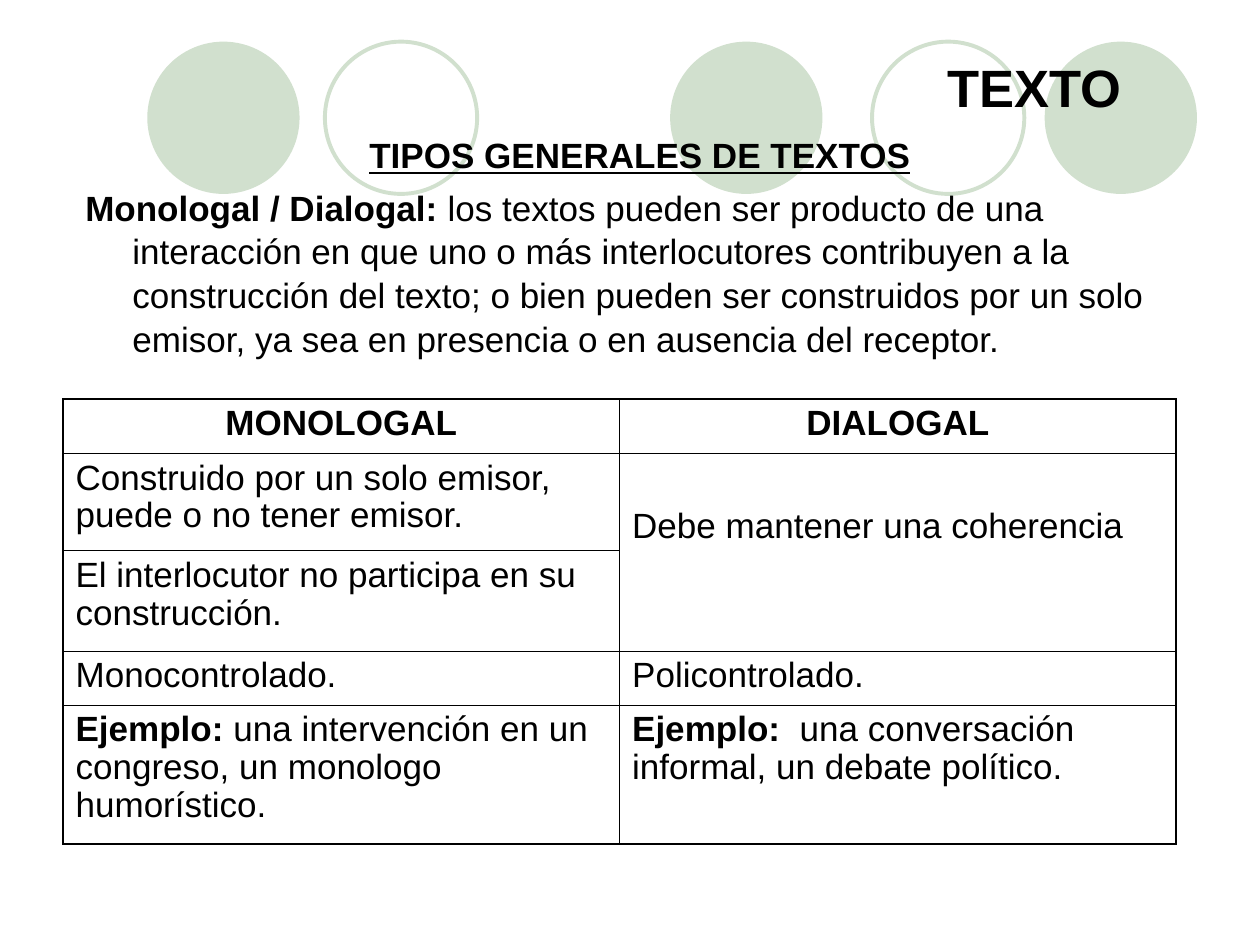
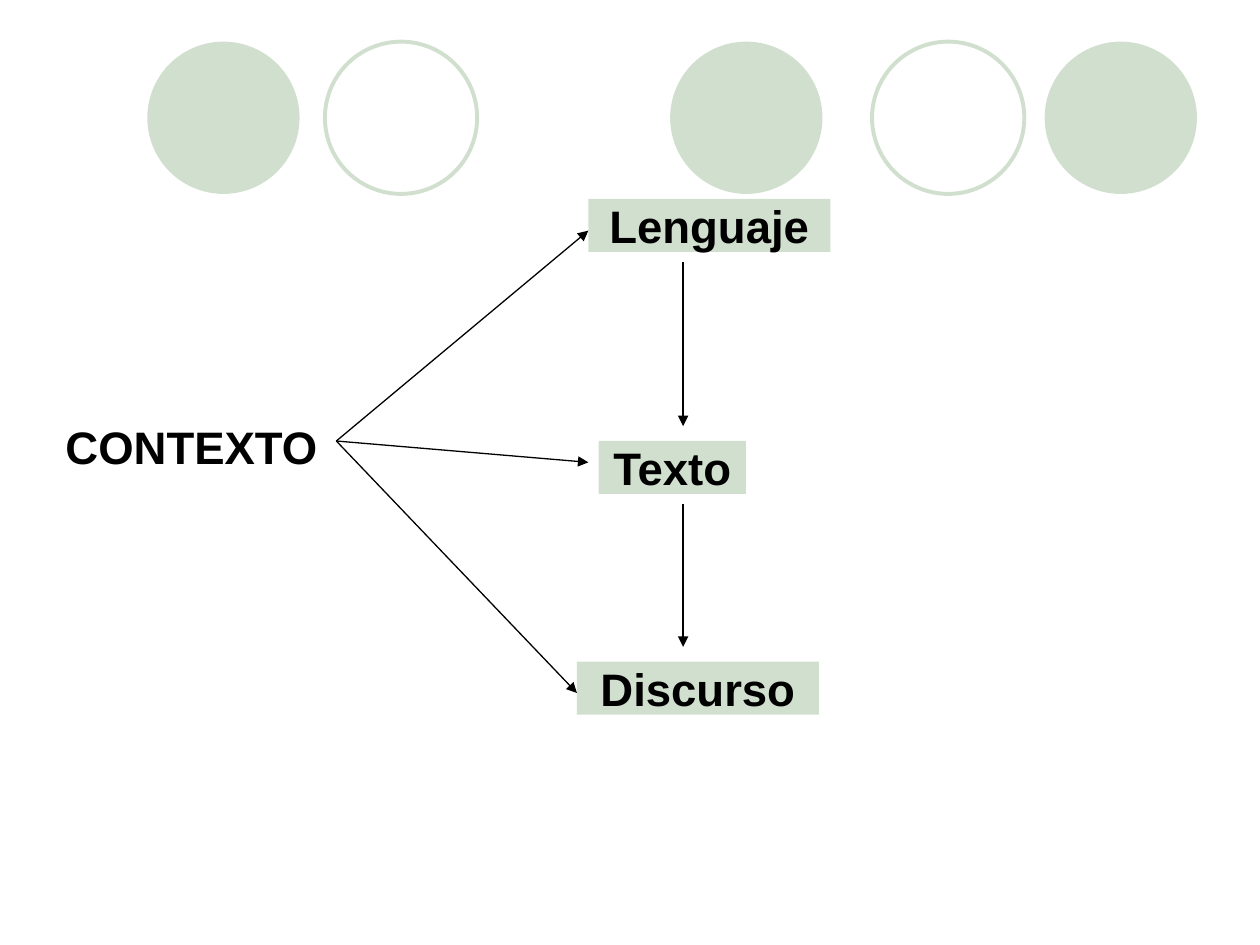
from itertools import pairwise, product

from lxml.etree import SubElement
from pptx import Presentation
from pptx.dml.color import RGBColor
from pptx.enum.shapes import MSO_CONNECTOR as Connector, MSO_SHAPE as Shape
from pptx.enum.text import MSO_ANCHOR as Anchor, PP_ALIGN as Align
from pptx.oxml.ns import qn
from pptx.util import Cm, Pt

FONT = "Arial"
BLACK, SAGE = "000000", "D1E0CE"
OUTER, INNER = 1.08, 0.45

CIRCLE_LEFTS = [2.97, 6.55, 13.51, 17.58, 21.06]
CIRCLE_TOP, CIRCLE_SIZE = 0.84, 3.07

TITLE = "TEXTO"
SUBTITLE = "TIPOS GENERALES DE TEXTOS"
DEFINITION = (
    "Monologal / Dialogal: ",
    "los textos pueden ser producto de una interacción en que uno o más "
    "interlocutores contribuyen a la construcción del texto; o bien pueden ser "
    "construidos por un solo emisor, ya sea en presencia o en ausencia del receptor.",
)
COMPARISON = [
    (1.09, ("MONOLOGAL", ""), ("DIALOGAL", "")),
    (1.96, ("", "Construido por un solo emisor, puede o no tener emisor."),
     ("", "Debe mantener una coherencia")),
    (2.03, ("", "El interlocutor no participa en su construcción."), None),
    (1.09, ("", "Monocontrolado."), ("", "Policontrolado.")),
    (2.79, ("Ejemplo: ", "una intervención en un congreso, un monologo humorístico."),
     ("Ejemplo: ", " una conversación informal, un debate político.")),
]
COLUMN_WIDTH = 11.22

CONTEXT = "CONTEXTO"
CONTEXT_POINT = (6.78, 8.89)
CONCEPTS = [
    ("Lenguaje", 11.86, 4.01, 4.88, (11.86, 4.65)),
    ("Texto", 12.07, 8.89, 2.97, (11.86, 9.32)),
    ("Discurso", 11.63, 13.34, 4.88, (11.63, 13.97)),
]
CONCEPT_HEIGHT = 1.07
FLOW_X, FLOW_START_GAP, FLOW_END_GAP = 13.77, 0.2, 0.3


def color(value):
    return RGBColor.from_string(value)


def write(paragraph, parts, size, align=Align.LEFT, underline=False):
    paragraph.alignment = align
    for words, bold in zip(parts, (True, False)):
        if words:
            run = paragraph.add_run()
            run.text = words
            font = run.font
            font.name, font.size, font.bold = FONT, Pt(size), bold
            font.underline = underline
            font.color.rgb = color(BLACK)


def add_shape(slide, kind, left, top, width, height, fill=None, line=None):
    shape = slide.shapes.add_shape(kind, Cm(left), Cm(top), Cm(width), Cm(height))
    shape.shadow.inherit = False
    if fill:
        shape.fill.solid()
        shape.fill.fore_color.rgb = color(fill)
    else:
        shape.fill.background()
    if line:
        shape.line.color.rgb = color(line)
        shape.line.width = Pt(2.25)
    else:
        shape.line.fill.background()
    return shape


def add_text(slide, left, top, width, height, anchor=Anchor.MIDDLE):
    frame = slide.shapes.add_textbox(Cm(left), Cm(top), Cm(width), Cm(height)).text_frame
    frame.word_wrap = True
    frame.vertical_anchor = anchor
    return frame


def add_arrow(slide, start, end):
    arrow = slide.shapes.add_connector(Connector.STRAIGHT, *map(Cm, start + end))
    arrow.line.color.rgb = color(BLACK)
    arrow.line.width = Pt(0.75)
    SubElement(arrow.line._get_or_add_ln(), qn("a:tailEnd"), type="triangle")
    SubElement(arrow._element.spPr, qn("a:effectLst"))


def add_base_slide(deck):
    slide = deck.slides.add_slide(deck.slide_layouts[6])
    for index, left in enumerate(CIRCLE_LEFTS):
        paint = {"line": SAGE} if index % 2 else {"fill": SAGE}
        add_shape(slide, Shape.OVAL, left, CIRCLE_TOP, CIRCLE_SIZE, CIRCLE_SIZE, **paint)
    return slide


def set_borders(cell, widths):
    properties = cell._tc.get_or_add_tcPr()
    for side, width in zip("LRTB", widths):
        border = SubElement(properties, qn(f"a:ln{side}"), w=str(Pt(width)))
        paint = SubElement(border, qn("a:solidFill"))
        SubElement(paint, qn("a:srgbClr"), val=BLACK)
    cell.fill.background()


def add_comparison(slide):
    last_row = len(COMPARISON) - 1
    total_height = sum(height for height, *_ in COMPARISON)
    table = slide.shapes.add_table(len(COMPARISON), 2, Cm(1.27), Cm(8.05),
                                   Cm(2 * COLUMN_WIDTH), Cm(total_height)).table
    table.first_row = table.horz_banding = False
    for column in table.columns:
        column.width = Cm(COLUMN_WIDTH)
    for row, (height, *_) in zip(table.rows, COMPARISON):
        row.height = Cm(height)
    table.cell(1, 1).merge(table.cell(2, 1))
    for row, column in product(range(last_row + 1), range(2)):
        cell = table.cell(row, column)
        edges = (column == 0, column == 1, row == 0, row == last_row)
        set_borders(cell, [OUTER if edge else INNER for edge in edges])
        parts = COMPARISON[row][column + 1]
        if parts:
            paragraph = cell.text_frame.paragraphs[0]
            paragraph.line_spacing = 0.97
            write(paragraph, parts, 20, Align.LEFT if row else Align.CENTER)
    table.cell(1, 1).margin_top = Cm(1.1)


def build_text_types(deck):
    slide = add_base_slide(deck)
    title = add_text(slide, 17.58, 0.76, 6.55, 1.98)
    write(title.paragraphs[0], (TITLE,), 30, Align.CENTER)
    body = add_text(slide, 1.47, 2.54, 22.86, 4.65, Anchor.TOP)
    subtitle, definition = body.paragraphs[0], body.add_paragraph()
    for paragraph in (subtitle, definition):
        indent = Cm(0.95)
        properties = paragraph._p.get_or_add_pPr()
        properties.set("marL", str(indent))
        properties.set("indent", str(-indent))
        paragraph.line_spacing = 1.04
    definition.space_before = Pt(5)
    write(subtitle, (SUBTITLE,), 20, Align.CENTER, underline=True)
    write(definition, DEFINITION, 20)
    add_comparison(slide)


def build_context(deck):
    slide = add_base_slide(deck)
    context = add_text(slide, 1.07, 8.05, 6.15, 1.91)
    write(context.paragraphs[0], (CONTEXT,), 26)
    for concept, left, top, width, target in CONCEPTS:
        box = add_shape(slide, Shape.RECTANGLE, left, top, width, CONCEPT_HEIGHT, fill=SAGE)
        box.text_frame.word_wrap = False
        box.text_frame.vertical_anchor = Anchor.MIDDLE
        write(box.text_frame.paragraphs[0], (concept,), 26, Align.CENTER)
        add_arrow(slide, CONTEXT_POINT, target)
    for (_, _, upper, *_), (_, _, lower, *_) in pairwise(CONCEPTS):
        add_arrow(slide, (FLOW_X, upper + CONCEPT_HEIGHT + FLOW_START_GAP),
                  (FLOW_X, lower - FLOW_END_GAP))


def main():
    """Build the two slides on text types and their context."""
    deck = Presentation()
    deck.slide_width, deck.slide_height = Cm(25.4), Cm(19.05)
    build_text_types(deck)
    build_context(deck)
    deck.save("out.pptx")


if __name__ == "__main__":
    main()
